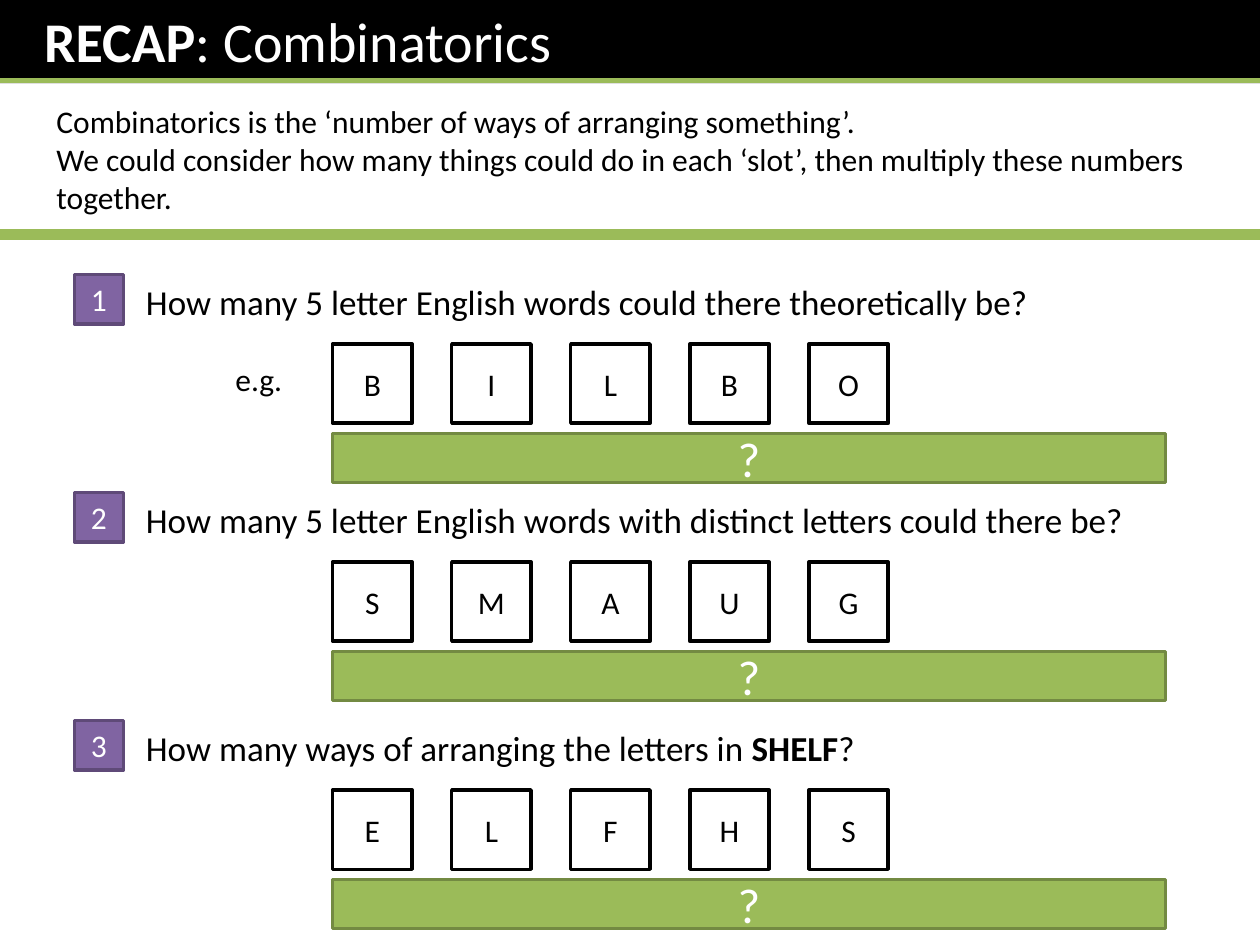
from lxml import etree
from pptx import Presentation
from pptx.dml.color import RGBColor
from pptx.enum.shapes import MSO_CONNECTOR, MSO_SHAPE
from pptx.enum.text import MSO_ANCHOR as ANCHOR, MSO_AUTO_SIZE as AUTO_SIZE, PP_ALIGN as ALIGN
from pptx.oxml.ns import qn
from pptx.util import Inches, Pt

FONT = "Calibri"
BLACK, WHITE, GREEN, PURPLE = "000000", "FFFFFF", "9BBB59", "8064A2"
DARK_GREEN, DARK_PURPLE = "738A42", "5F4A78"

SLOT_LEFT, SLOT_SIZE, SLOT_PITCH = 2.64, 0.63, 0.945

# Top, text width, question as (text, bold) runs, letters in the slots
QUESTIONS = [
    (2.18, 7.72, [("How many 5 letter English words could there theoretically be?", False)], "BILBO"),
    (3.91, 8.27, [("How many 5 letter English words with distinct letters could there be?", False)], "SMAUG"),
    (5.72, 8.27, [("How many ways of arranging the letters in ", False), ("SHELF", True), ("?", False)], "ELFHS"),
]


def color(value):
    return RGBColor.from_string(value)


def write(p, runs, size, text_color, align=ALIGN.LEFT):
    for text, bold in runs:
        r = p.add_run()
        r.text = text
        if bold:
            r.font.bold = True
    p.alignment = align
    p.font.name = FONT
    p.font.size = Pt(size)
    p.font.color.rgb = color(text_color)


def add_title(s, runs):
    sp = s.shapes.title
    sp.left, sp.top, sp.width, sp.height = 0, 0, Inches(10), Inches(0.66)
    sp.fill.solid()
    sp.fill.fore_color.rgb = color(BLACK)
    tf = sp.text_frame
    tf.auto_size = AUTO_SIZE.NONE
    tf.vertical_anchor = ANCHOR.TOP
    tf.margin_left = Inches(0.35)
    write(tf.paragraphs[0], runs, 32, WHITE)


def add_rule(s, y, weight):
    line = s.shapes.add_connector(MSO_CONNECTOR.STRAIGHT, 0, Inches(y), Inches(10), Inches(y))
    line.line.color.rgb = color(GREEN)
    line.line.width = Pt(weight)
    etree.SubElement(line._element.spPr, qn("a:effectLst"))


def add_text(s, left, top, width, height, paragraphs, size):
    tf = s.shapes.add_textbox(Inches(left), Inches(top), Inches(width), Inches(height)).text_frame
    tf.word_wrap = True
    for i, runs in enumerate(paragraphs):
        p = tf.add_paragraph() if i else tf.paragraphs[0]
        write(p, runs, size, BLACK)


def add_box(s, left, top, width, height, text, size, fill, outline, text_color):
    sp = s.shapes.add_shape(MSO_SHAPE.RECTANGLE, Inches(left), Inches(top), Inches(width), Inches(height))
    sp.shadow.inherit = False
    sp.fill.solid()
    sp.fill.fore_color.rgb = color(fill)
    sp.line.color.rgb = color(outline)
    sp.line.width = Pt(2)
    tf = sp.text_frame
    tf.vertical_anchor = ANCHOR.MIDDLE
    write(tf.paragraphs[0], [(text, False)], size, text_color, ALIGN.CENTER)


def add_question(s, number, top, width, runs, letters):
    add_text(s, 1.06, top, width, 0.44, [runs], 20)
    add_box(s, 0.59, top, 0.39, 0.39, str(number), 18, PURPLE, DARK_PURPLE, WHITE)
    for i, letter in enumerate(letters):
        add_box(s, SLOT_LEFT + i * SLOT_PITCH, top + 0.55, SLOT_SIZE, SLOT_SIZE,
                letter, 18, WHITE, BLACK, BLACK)
    # Cover for the answer
    add_box(s, SLOT_LEFT, top + 1.26, 6.61, 0.39, "?", 28, GREEN, DARK_GREEN, WHITE)


def main():
    prs = Presentation()
    prs.slide_width, prs.slide_height = Inches(10), Inches(7.5)
    s = prs.slides.add_slide(prs.slide_layouts[5])

    # Title bar
    add_title(s, [("RECAP", True), (": Combinatorics", False)])
    add_rule(s, 0.64, 3)

    # Introduction
    add_text(s, 0.35, 0.76, 9.37, 1.01, [
        [("Combinatorics is the ‘number of ways of arranging something’.", False)],
        [("We could consider how many things could do in each ‘slot’, "
          "then multiply these numbers together.", False)],
    ], 18)
    add_rule(s, 1.86, 6)

    # Questions
    for number, question in enumerate(QUESTIONS, start=1):
        add_question(s, number, *question)
    add_text(s, 1.77, 2.81, 0.71, 0.4, [[("e.g.", False)]], 18)

    prs.save("out.pptx")


if __name__ == "__main__":
    main()
